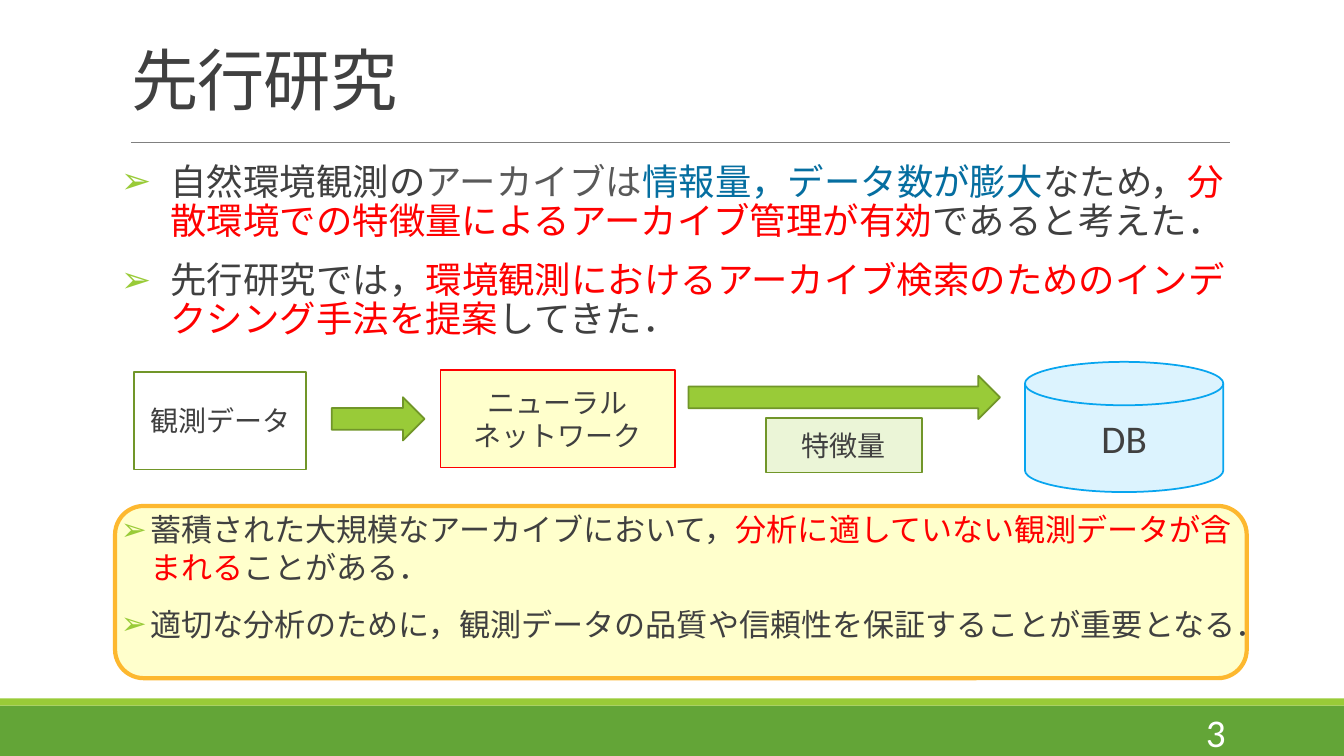
from lxml.etree import SubElement
from pptx import Presentation
from pptx.dml.color import RGBColor
from pptx.enum.lang import MSO_LANGUAGE_ID as Language
from pptx.enum.shapes import MSO_CONNECTOR as Connector, MSO_SHAPE as Shape
from pptx.enum.text import MSO_ANCHOR as Anchor, MSO_AUTO_SIZE as AutoSize, PP_ALIGN as Align
from pptx.oxml.ns import qn
from pptx.util import Cm, Pt

COLORS = {
    "dark": "404040", "gray": "595959", "blue": "056EA0", "red": "FF0000",
    "white": "FFFFFF", "green": "63A537", "lime": "99CB38", "olive": "719629",
    "pale_lime": "EBF5D7", "cream": "FFFFCC", "orange": "FDB82F",
    "pale_blue": "DCF3FE", "sky": "08A5EF", "rule": "808080",
}
FONT = "Calibri"
TITLE = "先行研究"
PAGE_NUMBER = "3"
BACKGROUND = [
    [("自然環境観測の", "dark"), ("アーカイブは", "gray"),
     ("情報量，データ数が膨大", "blue"), ("なため，", "dark"),
     ("分散環境での特徴量によるアーカイブ管理が有効", "red"),
     ("であると考えた．", "dark")],
    [("先行研究では，", "dark"),
     ("環境観測におけるアーカイブ検索のためのインデクシング手法を提案", "red"),
     ("してきた．", "dark")],
]
ISSUES = [
    [("蓄積された大規模なアーカイブにおいて，", "dark"),
     ("分析に適していない観測データが含まれる", "red"), ("ことがある．", "dark")],
    [("適切な分析のために，観測データの品質や信頼性を保証することが重要となる．", "dark")],
]
BANDS = [
    ((0, 17.78, 33.87, 1.27), "green"),
    ((0, 17.6, 33.87, 0.18), "lime"),
]
ISSUE_PANEL = (2.9, 12.75, 28.52, 4.34)
FLOW = [
    (Shape.RECTANGLE, (3.38, 9.37, 4.34, 2.46), None, "olive", ["観測データ"], 20),
    (Shape.RIGHT_ARROW, (8.36, 10.01, 2.34, 1.09), "lime", "olive", [], 20),
    (Shape.RECTANGLE, (11.1, 9.32, 5.92, 2.46), "cream", "red",
     ["ニューラル", "ネットワーク"], 20),
    (Shape.RECTANGLE, (19.3, 10.54, 3.94, 1.37), "pale_lime", "olive", ["特徴量"], 20),
    (Shape.RIGHT_ARROW, (17.35, 9.47, 7.85, 1.09), "lime", "olive", [], 20),
    (Shape.FLOWCHART_MAGNETIC_DISK, (25.83, 9.12, 5, 3.28), "pale_blue", "sky", ["DB"], 28),
]


def rgb(name):
    return RGBColor.from_string(COLORS[name])


def add_span(para, text, size, color="dark"):
    span = para.add_run()
    span.text = text
    span.font.name = FONT
    span.font.size = Pt(size)
    span.font.color.rgb = rgb(color)
    span.font.language_id = Language.JAPANESE
    return span


def paragraphs(frame, items):
    for index, item in enumerate(items):
        yield (frame.add_paragraph() if index else frame.paragraphs[0]), item


def add_shape(page, kind, place, fill, line=None, width=1.25):
    shape = page.shapes.add_shape(kind, *map(Cm, place))
    shape.shadow.inherit = False
    if fill:
        shape.fill.solid()
        shape.fill.fore_color.rgb = rgb(fill)
    else:
        shape.fill.background()
    if line:
        shape.line.color.rgb = rgb(line)
        shape.line.width = Pt(width)
    else:
        shape.line.fill.background()
    return shape


def add_bullets(page, place, items, size, indent, spacing=None):
    frame = page.shapes.add_textbox(*map(Cm, place)).text_frame
    frame.word_wrap = True
    frame.margin_left = frame.margin_right = 0
    for para, spans in paragraphs(frame, items):
        para.space_before, para.space_after = Pt(12), Pt(2)
        if spacing:
            para.line_spacing = spacing
        properties = para._p.get_or_add_pPr()
        properties.set("marL", str(Cm(indent)))
        properties.set("indent", str(-Cm(indent)))
        bullet_color = SubElement(properties, qn("a:buClr"))
        SubElement(bullet_color, qn("a:srgbClr"), val=COLORS["lime"])
        SubElement(properties, qn("a:buFont"), typeface=FONT)
        SubElement(properties, qn("a:buChar"), char="➢")
        for text, color in spans:
            add_span(para, text, size, color)


def add_title(page):
    title = page.shapes.title
    title.left, title.top, title.width, title.height = map(Cm, (3.05, 0.79, 27.94, 2.34))
    frame = title.text_frame
    frame.vertical_anchor = Anchor.BOTTOM
    frame.auto_size = AutoSize.NONE
    para = frame.paragraphs[0]
    para.alignment = Align.LEFT
    para.line_spacing = 0.85
    add_span(para, TITLE, 48).font._element.set("spc", "-50")


def add_rule(page):
    rule = page.shapes.add_connector(Connector.STRAIGHT, *map(Cm, (3.3, 3.58, 30.99, 3.58)))
    rule.line.color.rgb = rgb("rule")
    rule.line.width = Pt(0.5)
    SubElement(rule._element.spPr, qn("a:effectLst"))


def add_page_number(page):
    frame = page.shapes.add_textbox(*map(Cm, (27.51, 17.93, 3.63, 1.02))).text_frame
    frame.word_wrap = True
    frame.vertical_anchor = Anchor.MIDDLE
    para = frame.paragraphs[0]
    para.alignment = Align.RIGHT
    add_span(para, PAGE_NUMBER, 28, "white")


def add_flow(page):
    for kind, place, fill, line, labels, size in FLOW:
        frame = add_shape(page, kind, place, fill, line).text_frame
        frame.vertical_anchor = Anchor.MIDDLE
        for para, label in paragraphs(frame, labels):
            para.alignment = Align.CENTER
            add_span(para, label, size)


def main():
    deck = Presentation()
    deck.slide_width, deck.slide_height = Cm(33.87), Cm(19.05)
    page = deck.slides.add_slide(deck.slide_layouts[5])
    for place, fill in BANDS:
        add_shape(page, Shape.RECTANGLE, place, fill)
    add_rule(page)
    add_title(page)
    add_bullets(page, (3.05, 4.01, 27.94, 5.11), BACKGROUND, 26, 1.25, 0.9)
    add_page_number(page)
    add_shape(page, Shape.ROUNDED_RECTANGLE, ISSUE_PANEL, "cream", "orange", 3)
    add_bullets(page, (3.05, 12.75, 28.37, 4.34), ISSUES, 22.2, 0.74)
    add_flow(page)
    deck.save("out.pptx")


if __name__ == "__main__":
    main()
